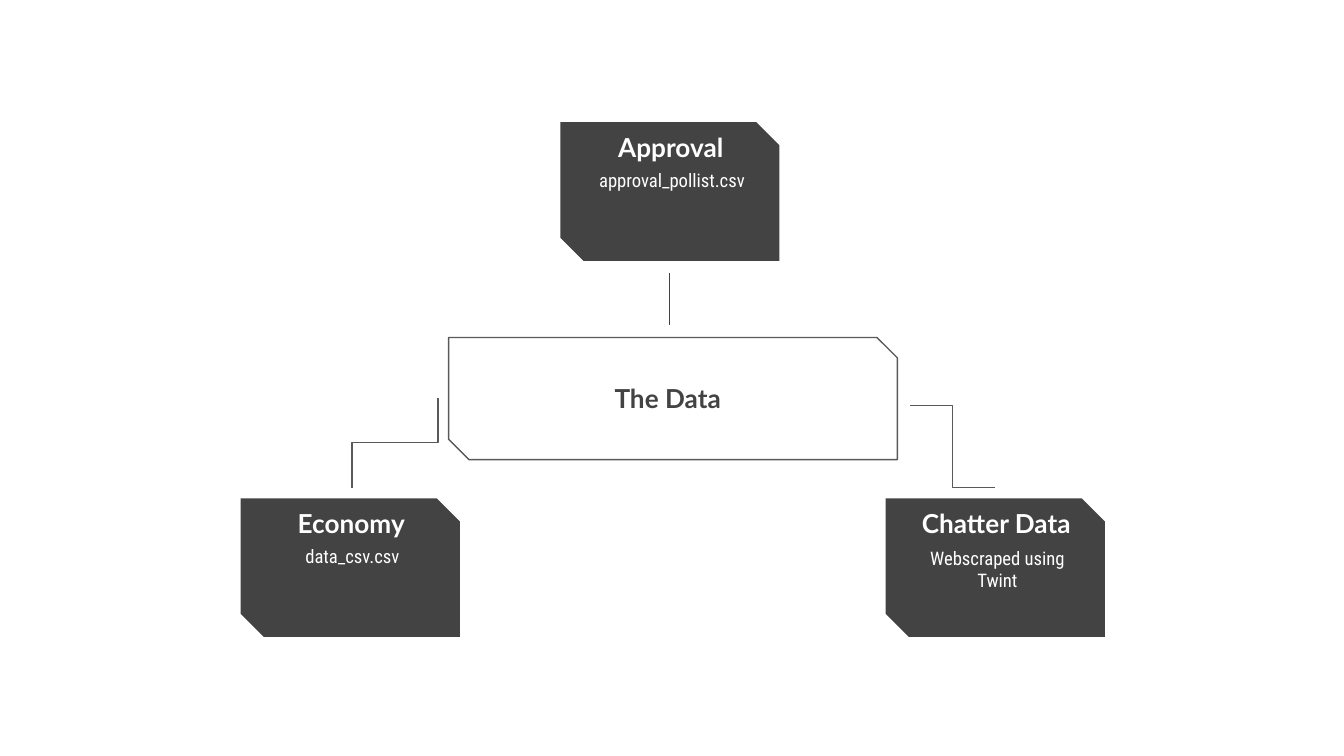
from lxml.etree import SubElement
from pptx import Presentation
from pptx.dml.color import RGBColor
from pptx.enum.shapes import MSO_CONNECTOR, MSO_SHAPE
from pptx.enum.text import MSO_ANCHOR, PP_ALIGN
from pptx.oxml.ns import qn
from pptx.util import Cm, Pt

DARK, OUTLINE, WHITE = "434343", "595959", "FFFFFF"
SLIDE_SIZE = (25.4, 14.29)
CARD_SIZE = (4.14, 2.62)
TITLE_SIZE = (3.96, 1.09)
DETAIL_SIZE = (3.58, 1.73)

cards = [
    ("Economy", "data_csv.csv", 4.55, 9.42),
    ("Chatter Data", "Webscraped using Twint", 16.74, 9.42),
    ("Approval", "approval_pollist.csv", 10.59, 2.31),
]
hub = ("The Data", (8.48, 6.38, 8.48, 2.31), (10.64, 6.99))
links = [
    (MSO_CONNECTOR.CURVE, (12.65, 5.16), (12.65, 6.15), DARK, False),
    (MSO_CONNECTOR.ELBOW, (8.28, 7.52), (6.65, 9.22), OUTLINE, True),
    (MSO_CONNECTOR.ELBOW, (17.2, 7.67), (18.8, 9.22), OUTLINE, False),
]

TITLE_FONT = {"name": "Lato", "size": Pt(14), "bold": True}
DETAIL_FONT = {"name": "Roboto Condensed", "size": Pt(10), "bold": False}
MARGINS = ("margin_left", "margin_top", "margin_right", "margin_bottom")
FRAME = {"word_wrap": True, **dict.fromkeys(MARGINS, Cm(0.25))}


def color(hex_value):
    return RGBColor.from_string(hex_value)


def apply(target, values):
    for key, value in values.items():
        setattr(target, key, value)


def add_label(slide, text, left, top, size, font, hex_value, anchor):
    label = slide.shapes.add_textbox(*map(Cm, (left, top, *size)))
    apply(label.text_frame, {**FRAME, "vertical_anchor": anchor})
    paragraph = label.text_frame.paragraphs[0]
    paragraph.alignment = PP_ALIGN.CENTER
    run = paragraph.add_run()
    run.text = text
    apply(run.font, font)
    run.font.color.rgb = color(hex_value)


def add_title(slide, text, left, top, hex_value):
    add_label(slide, text, left, top, TITLE_SIZE, TITLE_FONT, hex_value, MSO_ANCHOR.BOTTOM)


def add_panel(slide, box):
    panel = slide.shapes.add_shape(MSO_SHAPE.SNIP_2_DIAG_RECTANGLE, *map(Cm, box))
    panel.shadow.inherit = False
    panel.adjustments[0] = 0
    panel.adjustments[1] = 0.167
    return panel


def add_card(slide, title, detail, left, top):
    panel = add_panel(slide, (left, top, *CARD_SIZE))
    panel.fill.solid()
    panel.fill.fore_color.rgb = color(DARK)
    panel.line.fill.background()
    add_title(slide, title, left + 0.11, top - 0.08, WHITE)
    add_label(slide, detail, left + 0.32, top + 0.66, DETAIL_SIZE,
              DETAIL_FONT, WHITE, MSO_ANCHOR.TOP)


def add_hub(slide, title, box, title_at):
    panel = add_panel(slide, box)
    panel.fill.background()
    panel.line.color.rgb = color(OUTLINE)
    panel.line.width = Pt(0.75)
    add_title(slide, title, *title_at, DARK)


def add_link(slide, kind, start, end, hex_value, quarter_turn):
    if quarter_turn:
        middle_x, middle_y = ((a + b) / 2 for a, b in zip(start, end))
        half_x, half_y = ((b - a) / 2 for a, b in zip(start, end))
        start = (middle_x - half_y, middle_y + half_x)
        end = (middle_x + half_y, middle_y - half_x)
    link = slide.shapes.add_connector(kind, *map(Cm, (*start, *end)))
    link.line.color.rgb = color(hex_value)
    link.line.width = Pt(0.75)
    properties = link._element.spPr
    SubElement(properties, qn("a:effectLst"))
    if quarter_turn:
        properties.find(qn("a:xfrm")).set("rot", "5400000")


def main():
    deck = Presentation()
    deck.slide_width, deck.slide_height = map(Cm, SLIDE_SIZE)
    slide = deck.slides.add_slide(deck.slide_layouts[6])
    for card in cards:
        add_card(slide, *card)
    add_hub(slide, *hub)
    for link in links:
        add_link(slide, *link)
    deck.save("out.pptx")


if __name__ == "__main__":
    main()
